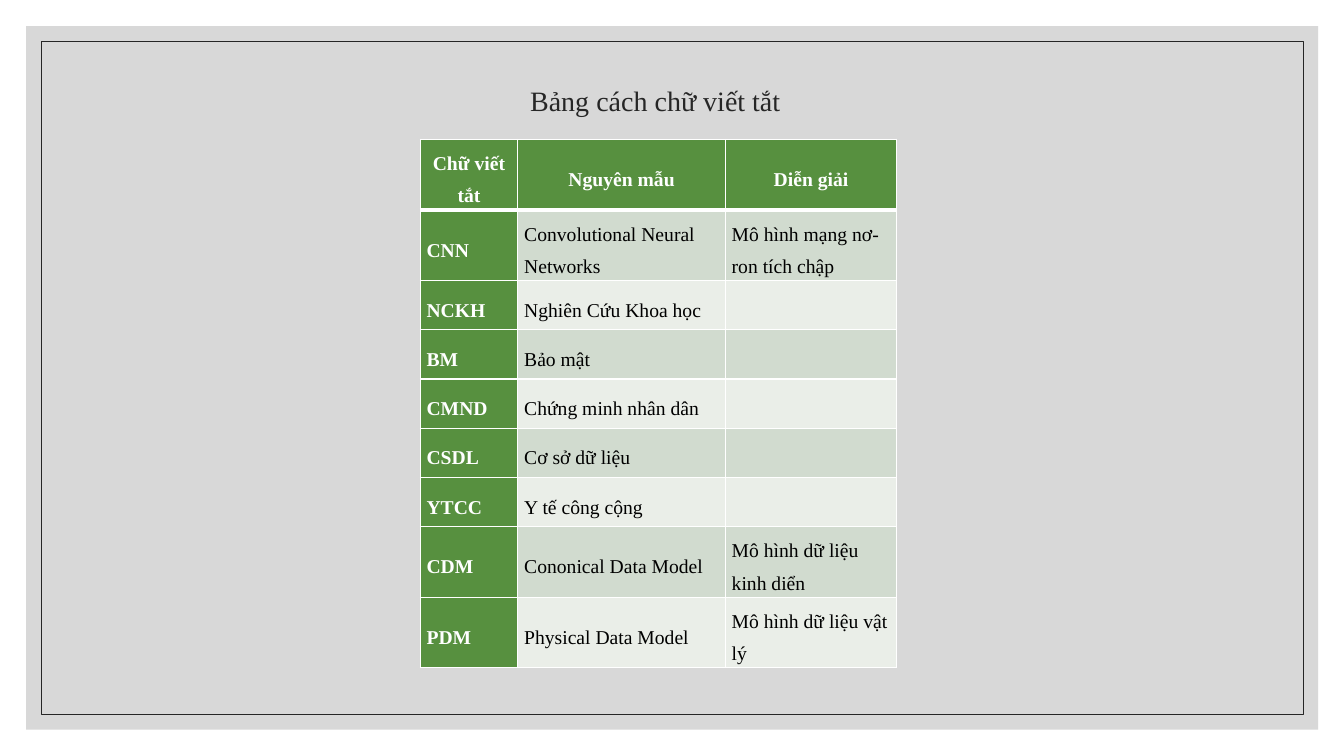
import pptx
import pptx.dml.color
import pptx.enum.shapes
import pptx.enum.text
import pptx.oxml
import pptx.oxml.ns
import pptx.util

Cm = pptx.util.Cm
Pt = pptx.util.Pt
PP_ALIGN = pptx.enum.text.PP_ALIGN

WHITE, BLACK, INK = "FFFFFF", "000000", "262626"
GREEN, SAGE, PALE = "57903F", "D1DBCF", "EAEEE8"

HEADINGS = ("Chữ viết tắt", "Nguyên mẫu", "Diễn giải")
ABBREVIATIONS = (
    ("CNN", "Convolutional Neural Networks", "Mô hình mạng nơ-ron tích chập"),
    ("NCKH", "Nghiên Cứu Khoa học", ""),
    ("BM", "Bảo mật", ""),
    ("CMND", "Chứng minh nhân dân", ""),
    ("CSDL", "Cơ sở dữ liệu", ""),
    ("YTCC", "Y tế công cộng", ""),
    ("CDM", "Cononical Data Model", "Mô hình dữ liệu kinh diển"),
    ("PDM", "Physical Data Model", "Mô hình dữ liệu vật lý"),
)


def rgb(value):
    """Turn a hex string into a colour."""
    return pptx.dml.color.RGBColor.from_string(value)


def apply(target, formats):
    """Set each named format value on the target."""
    for name, value in formats.items():
        setattr(target, name, value)


class Page:
    """Hold the text style and the current slide."""

    font = "Times New Roman"

    def __init__(self, slide):
        """Keep the slide to draw on."""
        self.slide = slide

    def fill_text(self, frame, text, size, color, bold=False, **paragraph_format):
        """Put one styled paragraph into a text frame."""
        paragraph = frame.paragraphs[0]
        apply(paragraph, paragraph_format)
        run = paragraph.add_run()
        run.text = text
        apply(run.font, {"name": self.font, "size": Pt(size), "bold": bold})
        run.font.color.rgb = rgb(color)

    def panel(self, left, top, width, height, fill=None, opacity=100, line=None):
        """Draw a rectangle with an optional translucent fill or a thin line."""
        panel = self.slide.shapes.add_shape(
            pptx.enum.shapes.MSO_SHAPE.RECTANGLE,
            Cm(left), Cm(top), Cm(width), Cm(height))
        panel.shadow.inherit = False
        if fill:
            panel.fill.solid()
            panel.fill.fore_color.rgb = rgb(fill)
            color = panel._element.spPr.find(".//" + pptx.oxml.ns.qn("a:srgbClr"))
            color.append(pptx.oxml.parse_xml(
                f'<a:alpha {pptx.oxml.ns.nsdecls("a")} val="{opacity * 1000}"/>'))
        else:
            panel.fill.background()
        if line:
            panel.line.color.rgb = rgb(line)
            panel.line.width = Pt(0.5)
        else:
            panel.line.fill.background()

    def title(self, text, left, top, width, height):
        """Add the slide heading."""
        frame = self.slide.shapes.add_textbox(
            Cm(left), Cm(top), Cm(width), Cm(height)).text_frame
        apply(frame, {"word_wrap": True,
                      "vertical_anchor": pptx.enum.text.MSO_ANCHOR.MIDDLE})
        self.fill_text(frame, text, 20, INK, line_spacing=0.9)

    def borders(self, cell, top, bottom):
        """Edge a cell in white with the given top and bottom widths."""
        properties = cell._tc.get_or_add_tcPr()
        edges = {"L": 1, "R": 1, "T": top, "B": bottom}
        for place, (side, width) in enumerate(edges.items()):
            properties.insert(place, pptx.oxml.parse_xml(
                f'<a:ln{side} {pptx.oxml.ns.nsdecls("a")} w="{Pt(width)}">'
                f'<a:solidFill><a:srgbClr val="{WHITE}"/></a:solidFill>'
                f'</a:ln{side}>'))

    def glossary(self, left, top, widths, headings, entries):
        """Build the table with a green heading row and first column."""
        rows = (headings, *entries)
        heights = [1.63 if row[2] else 1.24 for row in rows]
        table = self.slide.shapes.add_table(
            len(rows), len(widths), Cm(left), Cm(top),
            Cm(sum(widths)), Cm(sum(heights))).table
        for column, width in zip(table.columns, widths):
            column.width = Cm(width)
        for r, (row, height) in enumerate(zip(rows, heights)):
            table.rows[r].height = Cm(height)
            for c, text in enumerate(row):
                cell = table.cell(r, c)
                key = r == 0 or c == 0
                apply(cell, {"margin_left": Cm(0.16), "margin_right": Cm(0.16),
                             "margin_top": 0, "margin_bottom": 0,
                             "vertical_anchor": pptx.enum.text.MSO_ANCHOR.MIDDLE})
                cell.fill.solid()
                cell.fill.fore_color.rgb = rgb(GREEN if key else SAGE if r % 2 else PALE)
                self.borders(cell, 3 if r == 1 else 1, 3 if r == 0 else 1)
                if text:
                    self.fill_text(cell.text_frame, text, 14, WHITE if key else BLACK,
                                   key, line_spacing=1.5,
                                   alignment=PP_ALIGN.LEFT if r else PP_ALIGN.CENTER)


def main():
    """Build and save the abbreviations slide."""
    deck = pptx.Presentation()
    apply(deck, {"slide_width": Cm(33.87), "slide_height": Cm(19.05)})
    page = Page(deck.slides.add_slide(deck.slide_layouts[6]))
    page.panel(0.66, 0.66, 32.56, 17.73, fill="BFBFBF", opacity=60)
    page.panel(1.04, 1.04, 31.8, 16.97, line=INK)
    page.title("Bảng cách chữ viết tắt", 13.11, 1.98, 6.96, 1.19)
    page.glossary(10.59, 3.51, (2.46, 5.23, 4.32), HEADINGS, ABBREVIATIONS)
    deck.save("out.pptx")


if __name__ == "__main__":
    main()
